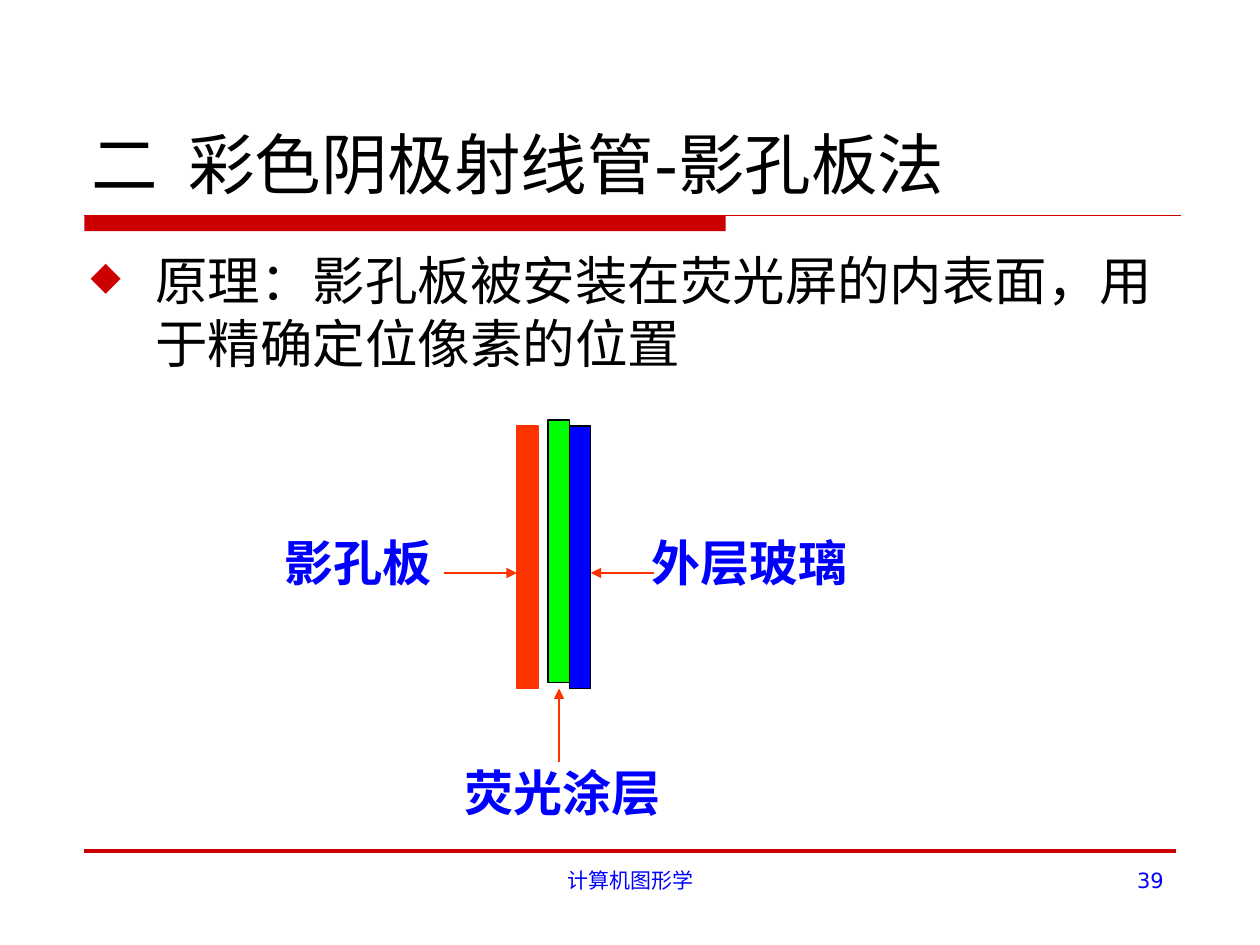
from dataclasses import dataclass

from lxml import etree
from pptx import Presentation, util as u
from pptx.dml.color import RGBColor
from pptx.enum import shapes, text
from pptx.oxml import ns


@dataclass(frozen=True)
class Theme:
    red: str = "CC0000"
    flame: str = "FF3300"
    green: str = "00FF00"
    blue: str = "0000FF"
    black: str = "000000"
    sans: str = "DejaVu Sans"
    serif: str = "Times New Roman"
    head: int = 38
    body: int = 30
    label: int = 28
    foot: int = 12
    thin: float = 0.75
    thick: float = 2.25


class Deck:
    """Draws styled elements on the current slide."""

    def __init__(self, theme):
        self.theme = theme
        self.prs = Presentation()
        self.prs.slide_width, self.prs.slide_height = u.Cm(25.4), u.Cm(19.05)
        self.slide = self.prs.slides.add_slide(self.prs.slide_layouts[6])

    def rect(self, box, fill, edge=None):
        shape = self.slide.shapes.add_shape(
            shapes.MSO_SHAPE.RECTANGLE, *map(u.Cm, box))
        shape.shadow.inherit = False
        shape.fill.solid()
        shape.fill.fore_color.rgb = RGBColor.from_string(fill)
        if edge:
            shape.line.color.rgb = RGBColor.from_string(edge)
            shape.line.width = u.Pt(self.theme.thin)
        else:
            shape.line.fill.background()

    def line(self, ends, color, width, arrow=False):
        line = self.slide.shapes.add_connector(
            shapes.MSO_CONNECTOR.STRAIGHT, *map(u.Cm, ends))
        line.line.color.rgb = RGBColor.from_string(color)
        line.line.width = u.Pt(width)
        if arrow:
            etree.SubElement(line.line._get_or_add_ln(),
                             ns.qn("a:tailEnd"), type="triangle")
        etree.SubElement(line._element.spPr, ns.qn("a:effectLst"))

    def text(self, box, words, size, color, font, align="LEFT",
             anchor="TOP", bold=False, wrap=True):
        frame = self.slide.shapes.add_textbox(*map(u.Cm, box)).text_frame
        frame.word_wrap = wrap
        if not wrap:
            frame.auto_size = text.MSO_AUTO_SIZE.SHAPE_TO_FIT_TEXT
        frame.vertical_anchor = text.MSO_ANCHOR[anchor]
        frame.text = words
        para = frame.paragraphs[0]
        para.alignment = text.PP_ALIGN[align]
        style = para.runs[0].font
        style.name, style.size, style.bold = font, u.Pt(size), bold
        style.color.rgb = RGBColor.from_string(color)
        return para

    def bullet(self, box, words, mark, indent):
        t = self.theme
        para = self.text(box, words, t.body, t.black, t.sans)
        para.space_before = u.Pt(7.5)
        props = para._p.get_or_add_pPr()
        props.set("marL", str(u.Cm(indent)))
        props.set("indent", str(-u.Cm(indent)))
        tint = etree.SubElement(props, ns.qn("a:buClr"))
        etree.SubElement(tint, ns.qn("a:srgbClr"), val=t.red)
        etree.SubElement(props, ns.qn("a:buSzPct"), val="75000")
        etree.SubElement(props, ns.qn("a:buChar"), char=mark)

    def label(self, box, words):
        t = self.theme
        self.text(box, words, t.label, t.blue, t.serif, "CENTER",
                  bold=True, wrap=False)

    def footer(self, box, words, align):
        t = self.theme
        self.text(box, words, t.foot, t.blue, t.sans, align)


def main():
    t = Theme()
    deck = Deck(t)

    deck.rect((1.7, 4.34, 12.93, 0.32), t.red)
    deck.line((1.7, 4.35, 23.8, 4.35), t.red, t.thin)
    deck.line((1.7, 17.15, 23.7, 17.15), t.red, t.thick)
    deck.footer((8.68, 17.36, 8.05, 1.32), "计算机图形学", "CENTER")
    deck.footer((18.2, 17.36, 5.51, 1.32), "39", "RIGHT")

    deck.text((1.6, 0.84, 22.22, 3.38), "二  彩色阴极射线管-影孔板法",
              t.head, t.black, t.sans, anchor="BOTTOM")
    deck.bullet((1.58, 4.88, 22.22, 11.86),
                "原理：影孔板被安装在荧光屏的内表面，用于精确定位像素的位置",
                "◆", 1.3)

    wide, tall = 0.43, 5.29
    for left, top, fill, edge in ((10.42, 8.59, t.flame, t.flame),
                                  (11.05, 8.47, t.green, t.black),
                                  (11.48, 8.59, t.blue, t.black)):
        deck.rect((left, top, wide, tall), fill, edge)

    for ends in ((13.18, 11.55, 11.91, 11.55),
                 (11.27, 15.37, 11.27, 13.88),
                 (8.95, 11.55, 10.42, 11.55)):
        deck.line(ends, t.flame, t.thin, arrow=True)

    for left, top, width, words in ((12.83, 10.62, 4.55, "外层玻璃"),
                                    (5.44, 10.62, 3.55, "影孔板"),
                                    (9.07, 15.24, 4.55, "荧光涂层")):
        deck.label((left, top, width, 1.45), words)

    deck.prs.save("out.pptx")


if __name__ == "__main__":
    main()
